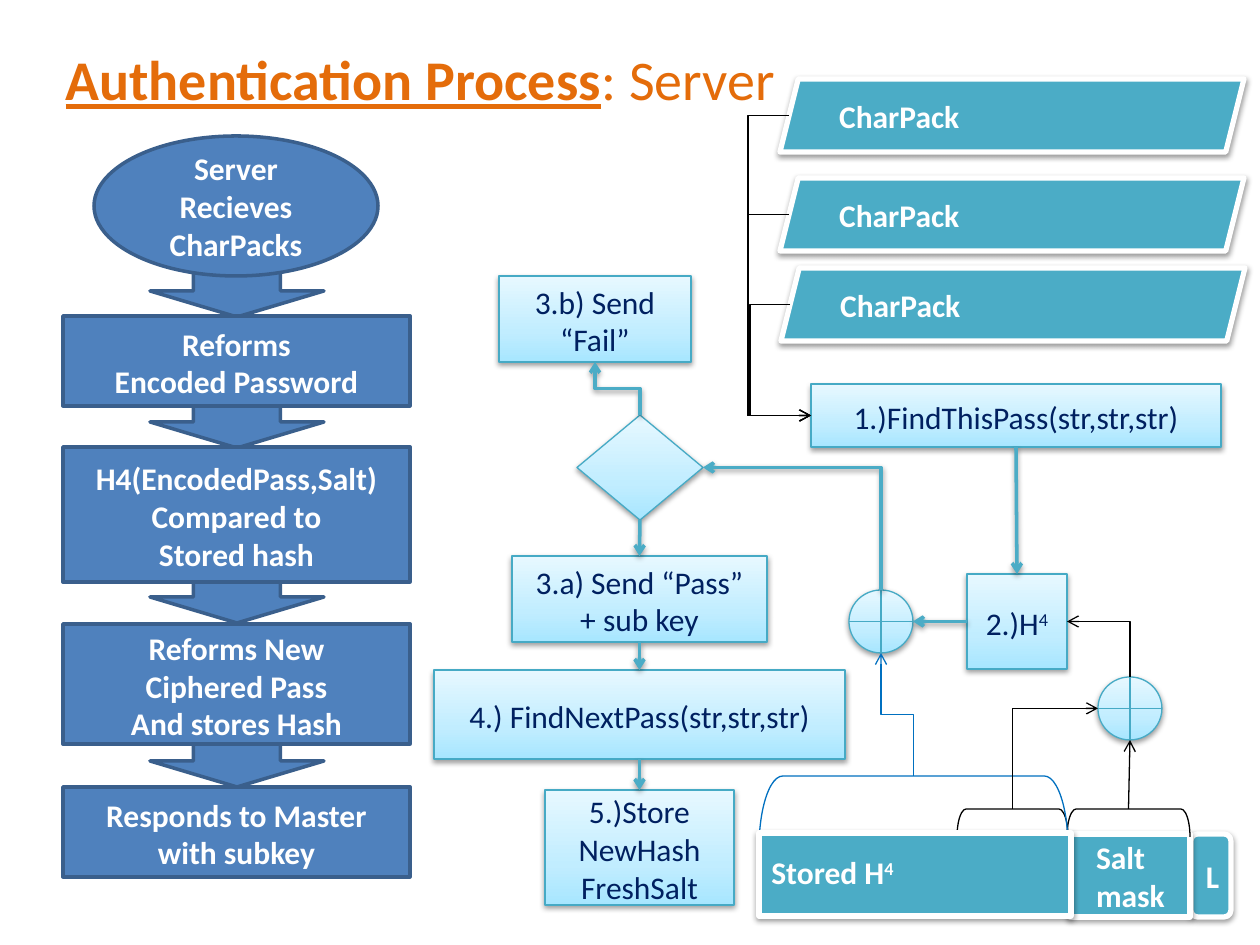
from copy import deepcopy

from lxml.etree import SubElement
from pptx import Presentation
from pptx.dml.color import RGBColor
from pptx.enum.shapes import MSO_CONNECTOR, MSO_SHAPE
from pptx.enum.text import MSO_ANCHOR, PP_ALIGN
from pptx.oxml.ns import qn
from pptx.util import Inches, Pt

PX = 914400 / 126
WHITE = RGBColor(0xFF, 0xFF, 0xFF)
BLACK = RGBColor(0x00, 0x00, 0x00)
ORANGE = RGBColor(0xE4, 0x6C, 0x0A)
NAVY = RGBColor(0x00, 0x20, 0x60)
BLUE = RGBColor(0x4F, 0x81, 0xBD)
BLUE_EDGE = RGBColor(0x3A, 0x5F, 0x8C)
TEAL = RGBColor(0x4B, 0xAC, 0xC6)
TEAL_EDGE = RGBColor(0x46, 0xAA, 0xC5)
LINK_BLUE = RGBColor(0x00, 0x70, 0xC0)
PALE_STOPS = [(0, RGBColor(0xA7, 0xE6, 0xFF)), (0.35, RGBColor(0xC1, 0xED, 0xFF)),
              (1, RGBColor(0xE7, 0xF8, 0xFF))]


def px(length):
    return round(length * PX)


class Diagram:
    font = "Calibri"
    size = Pt(18)

    def __init__(self, slide):
        self.slide = slide

    def title(self, strong, rest, x, y, w, h):
        title = self.slide.shapes.title
        title.left, title.top, title.width, title.height = map(px, (x, y, w, h))
        title.text_frame.vertical_anchor = MSO_ANCHOR.MIDDLE
        paragraph = title.text_frame.paragraphs[0]
        paragraph.alignment = PP_ALIGN.LEFT
        font = paragraph.font
        font.name, font.size, font.color.rgb = self.font, Pt(32), ORANGE
        run = paragraph.add_run()
        run.text, run.font.bold, run.font.underline = strong, True, True
        paragraph.add_run().text = rest

    def shape(self, kind, x, y, w, h):
        shape = self.slide.shapes.add_shape(kind, *map(px, (x, y, w, h)))
        shape.shadow.inherit = False
        return shape

    def outline(self, shape, color, width):
        shape.line.color.rgb, shape.line.width = color, Pt(width)

    def add_shadow(self, effects):
        shadow = SubElement(effects, qn("a:outerShdw"), blurRad="40000", dist="20000",
                            dir="5400000", rotWithShape="0")
        color = SubElement(shadow, qn("a:srgbClr"), val="000000")
        SubElement(color, qn("a:alpha"), val="38000")

    def add_text(self, shape, text, color, bold=False, align=PP_ALIGN.CENTER):
        """Put one paragraph per line; ^ starts a superscript."""
        frame = shape.text_frame
        frame.word_wrap = True
        for index, line in enumerate(text.split("\n")):
            paragraph = frame.add_paragraph() if index else frame.paragraphs[0]
            paragraph.alignment = align
            font = paragraph.font
            font.name, font.size, font.bold = self.font, self.size, bold
            font.color.rgb = color
            base, _, power = line.partition("^")
            paragraph.add_run().text = base
            if power:
                run = paragraph.add_run()
                run.text = power
                run._r.get_or_add_rPr().set("baseline", "30000")

    def blue(self, kind, x, y, w, h, text="", top_inset=9):
        shape = self.shape(kind, x, y, w, h)
        shape.fill.solid()
        shape.fill.fore_color.rgb = BLUE
        self.outline(shape, BLUE_EDGE, 2)
        if text:
            shape.text_frame.margin_top = px(top_inset)
            self.add_text(shape, text, WHITE, bold=True)

    def teal(self, kind, x, y, w, h, text="", left_inset=13):
        shape = self.shape(kind, x, y, w, h)
        shape.fill.solid()
        shape.fill.fore_color.rgb = TEAL
        self.outline(shape, WHITE, 3)
        self.add_shadow(shape._element.spPr.find(qn("a:effectLst")))
        if text:
            shape.text_frame.margin_left = px(left_inset)
            self.add_text(shape, text, WHITE, bold=True, align=PP_ALIGN.LEFT)
        return shape

    def pale(self, kind, x, y, w, h, text=""):
        shape = self.shape(kind, x, y, w, h)
        shape.fill.gradient()
        shape.fill.gradient_angle = 90
        stops = shape._element.spPr.find(".//" + qn("a:gsLst"))
        stops.append(deepcopy(stops[-1]))
        for stop, (position, color) in zip(shape.fill.gradient_stops, PALE_STOPS):
            stop.position, stop.color.rgb = position, color
        self.outline(shape, TEAL_EDGE, 0.75)
        self.add_shadow(shape._element.spPr.find(qn("a:effectLst")))
        if text:
            shape.text_frame.margin_top = px(9)
            self.add_text(shape, text, NAVY)
        return shape

    def bracket(self, x, y, w, h, color):
        """A left bracket turned to open downwards."""
        shape = self.shape(MSO_SHAPE.LEFT_BRACKET, x + (w - h) / 2, y + (h - w) / 2, h, w)
        shape.rotation = 90
        shape.adjustments[0] = 0.33
        shape.fill.background()
        self.outline(shape, color, 0.75)
        return shape

    def label(self, text, x, y, w, h):
        box = self.slide.shapes.add_textbox(*map(px, (x, y, w, h)))
        self.add_text(box, text, WHITE, bold=True, align=PP_ALIGN.LEFT)

    def site(self, shape, side):
        """Connection index and point at the middle of a side."""
        index = "tlbr".index(side)
        w, h = shape.width, shape.height
        x, y = shape.left + w // 2, shape.top + h // 2
        if shape.rotation:
            index, w, h = 1, h, w
        elif shape.auto_shape_type == MSO_SHAPE.FLOWCHART_OR:
            index *= 2
        elif shape.auto_shape_type == MSO_SHAPE.PARALLELOGRAM:
            index, w = 2, w - h // 4
        dx, dy = {"t": (0, -1), "l": (-1, 0), "b": (0, 1), "r": (1, 0)}[side]
        return index, x + dx * w // 2, y + dy * h // 2

    def link(self, start, start_side, end, end_side, color=TEAL, bent=False, bend_x=None):
        first, x1, y1 = self.site(start, start_side)
        last, x2, y2 = self.site(end, end_side)
        kind = MSO_CONNECTOR.ELBOW if bent else MSO_CONNECTOR.STRAIGHT
        connector = self.slide.shapes.add_connector(kind, x1, y1, x2, y2)
        joints = connector._element.find(".//" + qn("p:cNvCxnSpPr"))
        for tag, shape, index in (("a:stCxn", start, first), ("a:endCxn", end, last)):
            SubElement(joints, qn(tag), id=str(shape.shape_id), idx=str(index))
        properties = connector._element.spPr
        if bent:
            self.turn(connector, properties, start_side in "tb", x2 > x1)
            geometry = properties.find(qn("a:prstGeom"))
            if (start_side in "tb") != (end_side in "tb"):
                geometry.set("prst", "bentConnector2")
            elif bend_x:
                ratio = round((px(bend_x) - x1) / (x2 - x1) * 100000)
                SubElement(geometry.find(qn("a:avLst")), qn("a:gd"),
                           name="adj1", fmla=f"val {ratio}")
        self.outline(connector, color, 2 if color == TEAL else 0.75)
        SubElement(properties.find(qn("a:ln")), qn("a:tailEnd"), type="arrow")
        effects = SubElement(properties, qn("a:effectLst"))
        if color == TEAL:
            self.add_shadow(effects)

    def turn(self, connector, properties, upward, rightward):
        """Rotate an elbow so that it leaves upwards or to the left."""
        degrees = (90 if rightward else 270) if upward else 180
        if upward:
            x, y, w, h = connector.left, connector.top, connector.width, connector.height
            connector.left, connector.top = x + (w - h) // 2, y + (h - w) // 2
            connector.width, connector.height = h, w
        frame = properties.find(qn("a:xfrm"))
        frame.set("rot", str(degrees * 60000))
        frame.set("flipH", "0" if degrees == 270 else "1")
        frame.set("flipV", "1")


def main():
    presentation = Presentation()
    presentation.slide_width, presentation.slide_height = Inches(10), Inches(7.5)
    diagram = Diagram(presentation.slides.add_slide(presentation.slide_layouts[5]))
    rectangle, xor = MSO_SHAPE.RECTANGLE, MSO_SHAPE.FLOWCHART_OR
    diagram.title("Authentication Process", ": Server", 53, 0, 1134, 157)

    # Overview column
    for y in (265, 396, 571, 735):
        diagram.blue(MSO_SHAPE.DOWN_ARROW, 150, y, 174, 52)
    for y, h, text in ((316, 90, "Reforms\nEncoded Password"),
                       (447, 135, "H4(EncodedPass,Salt)\nCompared to\nStored hash"),
                       (624, 120, "Reforms New\nCiphered Pass\nAnd stores Hash"),
                       (787, 90, "Responds to Master\nwith subkey")):
        diagram.blue(rectangle, 63, y, 347, h, text)
    diagram.blue(MSO_SHAPE.OVAL, 94, 136, 284, 140, "Server Recieves\nCharPacks", 6)

    # Stored record
    diagram.teal(MSO_SHAPE.ROUNDED_RECTANGLE, 1191, 834, 40, 83, "L")
    diagram.teal(rectangle, 1070, 834, 120, 83, "Salt mask", 26)
    salt_bracket = diagram.bracket(1067, 809, 123, 28, BLACK)
    tail_bracket = diagram.bracket(957, 809, 111, 28, BLACK)
    hash_bracket = diagram.bracket(759, 776, 309, 72, LINK_BLUE)
    diagram.teal(rectangle, 759, 833, 312, 83)
    diagram.label("Stored H^4", 759, 847, 223, 89)

    # Process steps
    find = diagram.pale(rectangle, 811, 384, 410, 63, "1.)FindThisPass(str,str,str)")
    hashing = diagram.pale(rectangle, 967, 574, 100, 95, "2.)H^4")
    salt_xor = diagram.pale(xor, 1098, 677, 64, 63)
    hash_xor = diagram.pale(xor, 849, 590, 64, 63)
    decision = diagram.pale(MSO_SHAPE.DIAMOND, 577, 415, 126, 105)
    passed = diagram.pale(rectangle, 512, 556, 255, 86, "3.a) Send “Pass” + sub key")
    failed = diagram.pale(rectangle, 499, 276, 192, 86, "3.b) Send “Fail”")
    find_next = diagram.pale(rectangle, 434, 670, 411, 89, "4.) FindNextPass(str,str,str)")
    store = diagram.pale(rectangle, 545, 790, 189, 115, "5.)Store NewHash\nFreshSalt")

    # Incoming packets
    for x, y, bend_x in ((780, 79, 748), (780, 178, 748), (781, 268, 750)):
        packet = diagram.teal(MSO_SHAPE.PARALLELOGRAM, x, y, 464, 73, "CharPack")
        diagram.link(packet, "l", find, "l", BLACK, bent=True, bend_x=bend_x)

    # Flow between the steps
    diagram.link(find, "b", hashing, "t")
    diagram.link(hashing, "l", hash_xor, "r")
    diagram.link(hash_xor, "t", decision, "r", bent=True)
    diagram.link(decision, "t", failed, "b", bent=True)
    for upper, lower in ((decision, passed), (passed, find_next), (find_next, store)):
        diagram.link(upper, "b", lower, "t")
    diagram.link(tail_bracket, "t", salt_xor, "l", BLACK, bent=True)
    diagram.link(salt_bracket, "t", salt_xor, "b", BLACK)
    diagram.link(salt_xor, "t", hashing, "r", BLACK, bent=True)
    diagram.link(hash_bracket, "t", hash_xor, "b", LINK_BLUE, bent=True)

    presentation.save("out.pptx")


if __name__ == "__main__":
    main()
